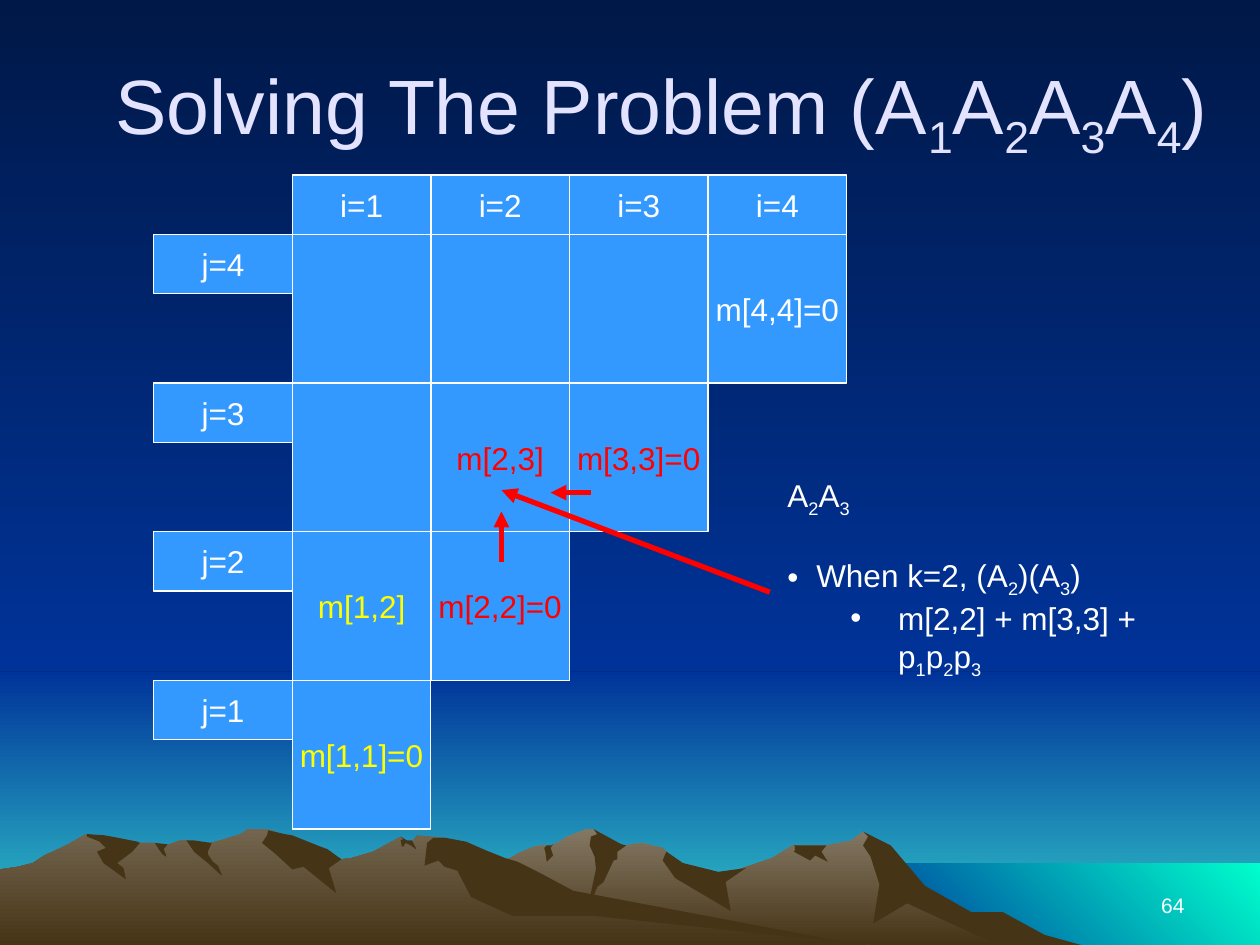
"""Build the matrix-chain table slide for A1A2A3A4 over a mountain landscape."""
import pptx
import pptx.dml.color
import pptx.enum.shapes
import pptx.enum.text
import pptx.oxml
import pptx.oxml.ns
import pptx.util
from lxml import etree

Inches = pptx.util.Inches
RGBColor = pptx.dml.color.RGBColor
ALIGN = pptx.enum.text.PP_ALIGN
ANCHOR = pptx.enum.text.MSO_ANCHOR
RECTANGLE = pptx.enum.shapes.MSO_SHAPE.RECTANGLE
STRAIGHT = pptx.enum.shapes.MSO_CONNECTOR.STRAIGHT
qn = pptx.oxml.ns.qn

WHITE = RGBColor(0xFF, 0xFF, 0xFF)
YELLOW = RGBColor(0xFF, 0xFF, 0x00)
RED = RGBColor(0xFF, 0x00, 0x00)
LAVENDER = RGBColor(0xE3, 0xE3, 0xFF)
CELL_BLUE = RGBColor(0x33, 0x99, 0xFF)
NIGHT = RGBColor(0x00, 0x18, 0x47)
BLUE = RGBColor(0x00, 0x33, 0x99)
TEAL = RGBColor(0x33, 0xCC, 0xCC)
AQUA = RGBColor(0x00, 0xFF, 0xCC)
ROCK = RGBColor(0x84, 0x78, 0x64)
EARTH = RGBColor(0x73, 0x65, 0x4F)
BROWN = RGBColor(0x46, 0x34, 0x16)


def write(para, text, size=18, color=WHITE, align=ALIGN.LEFT):
    """Write text into a paragraph; an underscore lowers the next character."""
    para.alignment = align
    first, *rest = text.split("_")
    pieces = [(first, False)]
    for piece in rest:
        pieces += [(piece[0], True), (piece[1:], False)]
    for piece, lowered in pieces:
        if piece:
            span = para.add_run()
            span.text = piece
            span.font.name = "Arial"
            span.font.size = pptx.util.Pt(size)
            span.font.color.rgb = color
            if lowered:
                span.font._element.set("baseline", "-25000")


def paint(fill, colors, angle=270):
    """Fill with one colour, or with a gradient between two."""
    if len(colors) == 1:
        fill.solid()
        fill.fore_color.rgb = colors[0]
        return
    fill.gradient()
    fill.gradient_angle = angle
    for stop, color in zip(fill.gradient_stops, colors):
        stop.color.rgb = color


deck = pptx.Presentation()
deck.slide_width = Inches(10)
deck.slide_height = Inches(7.5)
page = deck.slides.add_slide(deck.slide_layouts[6])
paint(page.background.fill, (NIGHT, BLUE))

for left, top, width, height, colors, angle in (
    (0, 5.33, 10, 2.17, (BLUE, TEAL), 270),
    (0, 0, 10, 5.33, (NIGHT, BLUE), 270),
    (6.83, 6.85, 3.17, 0.65, (BLUE, AQUA), 45),
):
    band = page.shapes.add_shape(
        RECTANGLE, Inches(left), Inches(top), Inches(width), Inches(height))
    band.shadow.inherit = False
    band.line.fill.background()
    paint(band.fill, colors, angle)

far_ridge = [
    (802, 740), (778, 727), (764, 723), (723, 698), (702, 671), (685, 660), (676, 667),
    (656, 671), (629, 671), (613, 681), (566, 697), (536, 690), (529, 676), (526, 673),
    (509, 669), (497, 671), (486, 673), (474, 661), (471, 658), (465, 658), (450, 664),
    (444, 668), (438, 671), (430, 671), (424, 672), (412, 677), (405, 681), (394, 685),
    (355, 698), (327, 709), (277, 739), (258, 750), (821, 750)]
far_shadows = [
    [(796, 724), (771, 724), (734, 703), (707, 671), (685, 660), (689, 664), (685, 671),
     (691, 680), (698, 702), (693, 733), (720, 717), (792, 750), (858, 750), (829, 742)],
    [(471, 658), (474, 662), (469, 664), (468, 671), (472, 680), (473, 690), (465, 727),
     (474, 704), (479, 700), (487, 683), (490, 682), (490, 676), (497, 671), (493, 670)],
    [(529, 676), (528, 678), (526, 683), (536, 697), (580, 723), (576, 700), (592, 689),
     (570, 692), (542, 685)],
    [(650, 671), (630, 671), (631, 672), (631, 675), (630, 676), (643, 683), (647, 679),
     (657, 684), (652, 676), (656, 671)],
    [(433, 677), (432, 673), (434, 671), (438, 671), (439, 670), (437, 673), (439, 679),
     (434, 684)]]
near_ridge = [
    (690, 750), (667, 748), (432, 712), (354, 665), (331, 663), (327, 668), (323, 668),
    (318, 664), (296, 676), (279, 681), (271, 682), (260, 676), (236, 681), (223, 663),
    (219, 660), (212, 658), (196, 658), (191, 662), (178, 666), (160, 671), (148, 667),
    (143, 667), (132, 671), (128, 671), (123, 669), (111, 669), (94, 671), (68, 662),
    (56, 669), (46, 674), (35, 679), (26, 685), (14, 688), (0, 690), (0, 750)]
near_shadows = [
    [(212, 663), (208, 669), (219, 678), (232, 690), (241, 688), (267, 709), (261, 689),
     (271, 682), (260, 674), (252, 671), (232, 663), (226, 662), (213, 659)],
    [(370, 668), (354, 665), (344, 665), (339, 669), (337, 687), (348, 683), (353, 688),
     (363, 691), (374, 712), (407, 727), (472, 727), (690, 750), (683, 750), (455, 707),
     (427, 692), (411, 684), (401, 681), (386, 675)],
    [(318, 667), (320, 666), (318, 664), (323, 667), (327, 667), (330, 673), (330, 674),
     (326, 671), (322, 669), (320, 672), (319, 672)],
    [(154, 667), (161, 668), (168, 669), (165, 676), (165, 678), (169, 684), (173, 687),
     (176, 694), (176, 695), (165, 685), (154, 676), (148, 667)],
    [(133, 670), (130, 674), (132, 679), (132, 680), (129, 678), (126, 674), (123, 669)],
    [(109, 668), (111, 669), (105, 676), (93, 685), (98, 689), (100, 698), (82, 685),
     (77, 676), (84, 673), (79, 668), (69, 664), (69, 662), (83, 663), (94, 665)]]
mountains = [(far_ridge, (ROCK, BROWN))]
mountains += [(points, (BROWN,)) for points in far_shadows]
mountains += [(near_ridge, (EARTH, BROWN))]
mountains += [(points, (BROWN,)) for points in near_shadows]
for points, colors in mountains:
    builder = page.shapes.build_freeform(*points[0], scale=Inches(0.01))
    builder.add_line_segments(points[1:], close=True)
    rock = builder.convert_to_shape()
    rock.shadow.inherit = False
    rock.line.fill.background()
    paint(rock.fill, colors)

GRID_LEFT, GRID_TOP = 2.32, 1.86
CELL_WIDTH, CELL_HEIGHT, LABEL_HEIGHT = 1.1, 1.18, 0.47
values = {
    (1, 1): ("m[1,1]=0", YELLOW), (1, 2): ("m[1,2]", YELLOW),
    (2, 2): ("m[2,2]=0", RED), (2, 3): ("m[2,3]", RED),
    (3, 3): ("m[3,3]=0", RED), (4, 4): ("m[4,4]=0", WHITE)}
cells = []
for i in range(1, 5):
    column_left = GRID_LEFT + (i - 1) * CELL_WIDTH
    for j in range(i, 5):
        text, color = values.get((i, j), ("", WHITE))
        cells.append((column_left, GRID_TOP + (4 - j) * CELL_HEIGHT, CELL_HEIGHT, text, color))
    cells.append((column_left, GRID_TOP - LABEL_HEIGHT, LABEL_HEIGHT, f"i={i}", WHITE))
    cells.append((GRID_LEFT - CELL_WIDTH, GRID_TOP + (4 - i) * CELL_HEIGHT,
                  LABEL_HEIGHT, f"j={i}", WHITE))
for left, top, height, text, color in cells:
    cell = page.shapes.add_shape(
        RECTANGLE, Inches(left), Inches(top), Inches(CELL_WIDTH), Inches(height))
    cell.shadow.inherit = False
    paint(cell.fill, (CELL_BLUE,))
    cell.line.color.rgb = WHITE
    cell.line.width = pptx.util.Pt(0.75)
    cell.text_frame.word_wrap = False
    cell.text_frame.vertical_anchor = ANCHOR.MIDDLE
    write(cell.text_frame.paragraphs[0], text, color=color, align=ALIGN.CENTER)

for left, top, width, height, anchor, text, style in (
    (0.5, 0.25, 9.5, 1.25, ANCHOR.MIDDLE, "Solving The Problem (A_1A_2A_3A_4)",
     {"size": 44, "color": LAVENDER, "align": ALIGN.CENTER}),
    (7.17, 6.83, 2.33, 0.5, ANCHOR.BOTTOM, "64", {"size": 12, "align": ALIGN.RIGHT}),
):
    box = page.shapes.add_textbox(Inches(left), Inches(top), Inches(width), Inches(height))
    box.text_frame.word_wrap = True
    box.text_frame.vertical_anchor = anchor
    write(box.text_frame.paragraphs[0], text, **style)

notes = page.shapes.add_textbox(Inches(6.15), Inches(3.73), Inches(3.69), Inches(2.11))
notes.text_frame.word_wrap = False
write(notes.text_frame.paragraphs[0], "A_2A_3")
for text, level, margin, hanging, gap in (
    ("When k=2, (A_2)(A_3)", 0, 0.23, 0.23, 21),
    ("m[2,2] + m[3,3] + p_1p_2p_3", 1, 0.88, 0.38, 0),
):
    para = notes.text_frame.add_paragraph()
    para.level = level
    para.space_before = pptx.util.Pt(gap)
    properties = para._p.get_or_add_pPr()
    properties.set("marL", str(Inches(margin)))
    properties.set("indent", str(-Inches(hanging)))
    etree.SubElement(properties, qn("a:buFont"), typeface="Arial")
    etree.SubElement(properties, qn("a:buChar"), char="•")
    write(para, text)

for start_x, start_y, end_x, end_y in (
    (3.98, 4.46, 3.98, 4.06),
    (4.69, 3.91, 4.37, 3.91),
    (6.11, 4.7, 3.98, 3.89),
):
    arrow = page.shapes.add_connector(
        STRAIGHT, Inches(start_x), Inches(start_y), Inches(end_x), Inches(end_y))
    arrow.line.color.rgb = RED
    arrow.line.width = pptx.util.Pt(3)
    etree.SubElement(arrow.line._get_or_add_ln(), qn("a:tailEnd"), type="triangle")
    etree.SubElement(arrow._element.spPr, qn("a:effectLst"))

deck.save("out.pptx")
